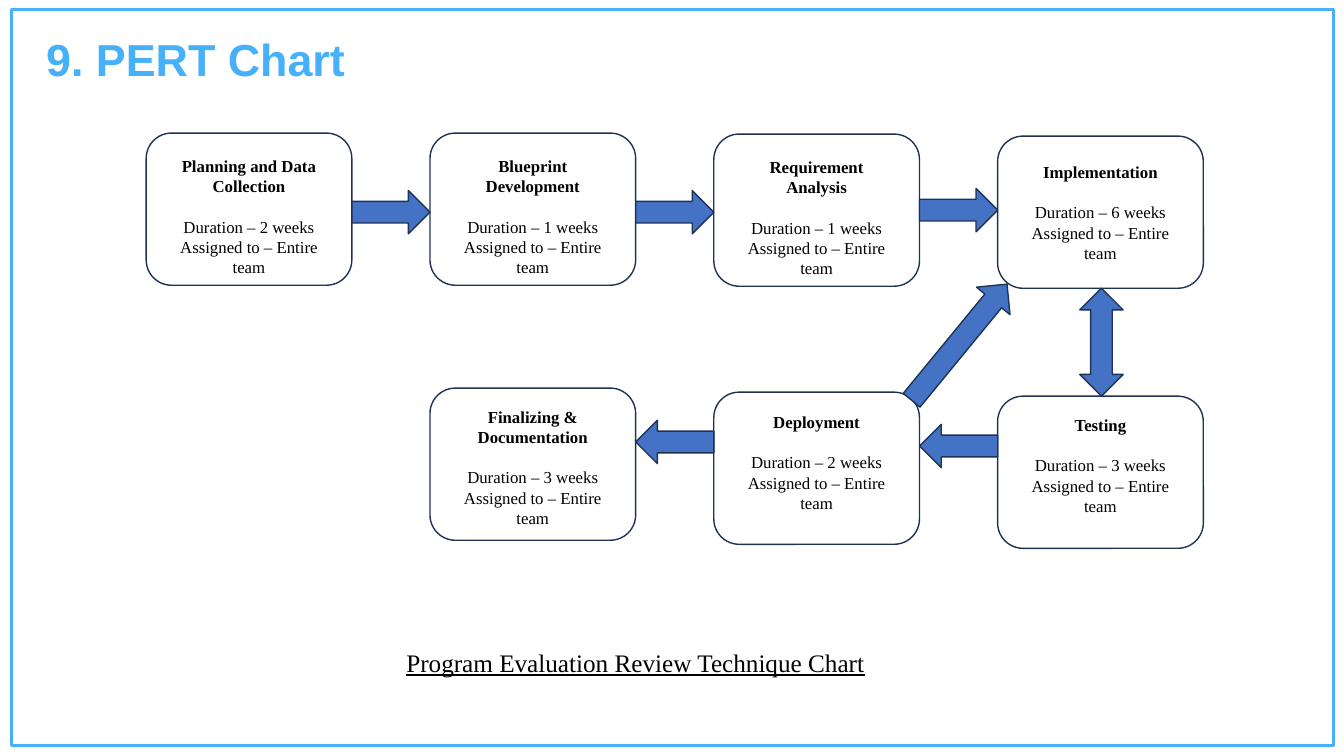
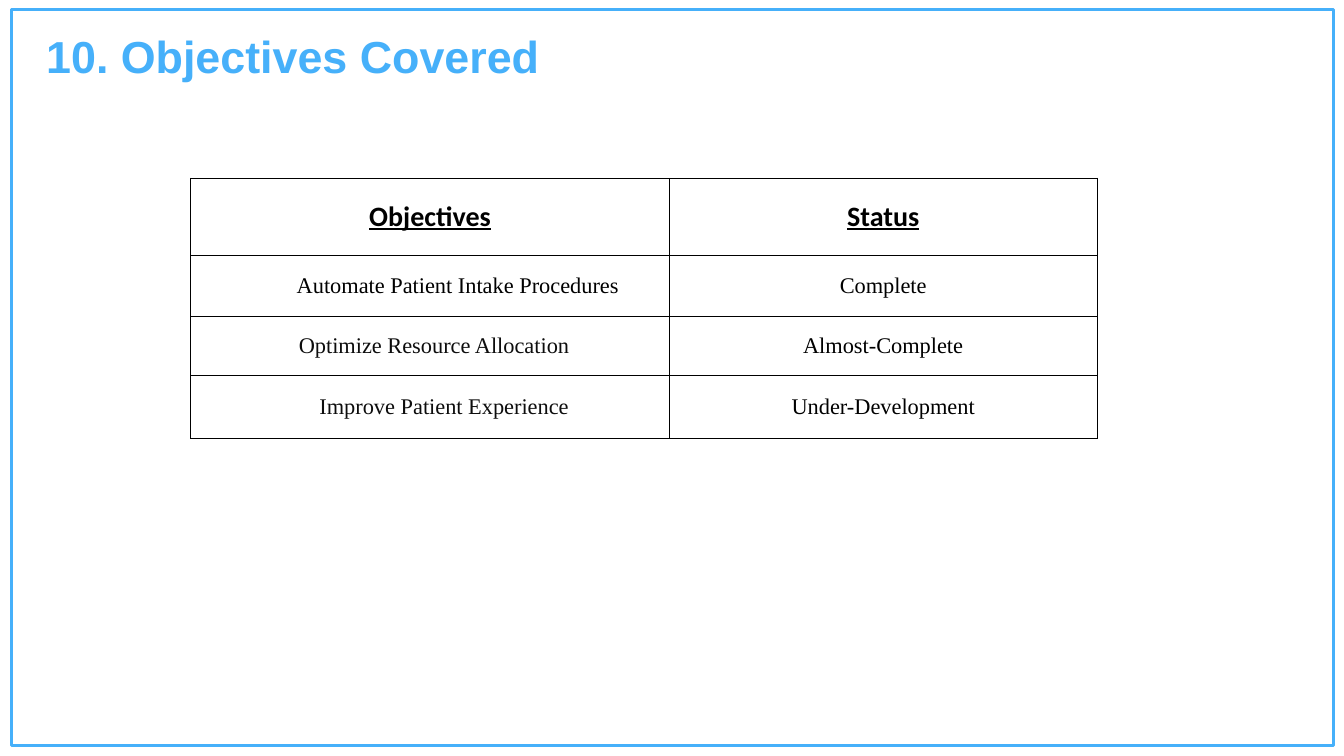
from dataclasses import dataclass

from lxml import etree
from pptx import Presentation
from pptx.dml.color import RGBColor
from pptx.enum.shapes import MSO_SHAPE
from pptx.enum.text import MSO_ANCHOR, PP_ALIGN
from pptx.oxml.ns import qn
from pptx.util import Inches, Pt

RECT = MSO_SHAPE.RECTANGLE
ROUND = MSO_SHAPE.ROUNDED_RECTANGLE
RIGHT = MSO_SHAPE.RIGHT_ARROW
LEFT = MSO_SHAPE.LEFT_ARROW
UPDOWN = MSO_SHAPE.UP_DOWN_ARROW
CENTER = PP_ALIGN.CENTER
TOP, MIDDLE = MSO_ANCHOR.TOP, MSO_ANCHOR.MIDDLE


@dataclass(frozen=True)
class Theme:
    sky: str = "46B0FA"
    navy: str = "1E3256"
    blue: str = "4472C4"
    black: str = "000000"
    soft: str = "0D0D0D"
    sans: str = "Arial"
    serif: str = "Times New Roman"
    head: str = "Calibri"
    title: int = 32
    label: int = 20
    caption: int = 18
    cell: int = 16
    step: int = 12


THEME = Theme()
WIDE, HIGH = 13.33, 7.5

# Step grid of the chart, in inches
BOX_W, BOX_H, GAP = 2.04, 1.51, 0.775
GRID_X, PITCH = 1.45, BOX_W + GAP
ARROW_H = 0.43

# Name, weeks, column, top, space above the text
STEPS = [
    ("Planning and Data Collection", 2, 0, 1.32, 0.15),
    ("Blueprint Development", 1, 1, 1.32, 0.15),
    ("Requirement Analysis", 1, 2, 1.33, 0.15),
    ("Implementation", 6, 3, 1.35, 0.18),
    ("Testing", 3, 3, 3.93, 0.11),
    ("Deployment", 2, 2, 3.89, 0.12),
    ("Finalizing & Documentation", 3, 1, 3.85, 0.11),
]
# Kind, column to the left of the gap, top
ARROWS = [
    (RIGHT, 0, 1.89), (RIGHT, 1, 1.89), (RIGHT, 2, 1.87),
    (LEFT, 2, 4.21), (LEFT, 1, 4.17),
]
# Objective, its left indent, status
GOALS = [
    ("Automate Patient Intake Procedures", 0.55, "Complete", THEME.black),
    ("Optimize Resource Allocation", 0.08, "Almost-Complete", THEME.soft),
    ("Improve Patient Experience", 0.28, "Under-Development", THEME.soft),
]


def rgb(code):
    return RGBColor.from_string(code)


def style(para, font, size, color, bold=False, line=False):
    for run in para.runs:
        face = run.font
        face.name, face.size = font, Pt(size)
        face.bold, face.underline = bold, line
        face.color.rgb = rgb(color)


def shape(slide, kind, box, line, width=1, fill=None):
    item = slide.shapes.add_shape(kind, *map(Inches, box))
    item.shadow.inherit = False
    item.line.color.rgb = rgb(line)
    item.line.width = Pt(width)
    if fill:
        item.fill.solid()
        item.fill.fore_color.rgb = rgb(fill)
    else:
        item.fill.background()
    return item


def text(slide, box, words):
    """Add a wrapping text box and return its paragraph."""
    frame = slide.shapes.add_textbox(*map(Inches, box)).text_frame
    frame.word_wrap = True
    frame.text = words
    return frame.paragraphs[0]


def page(deck, title, top):
    """Add a blank slide with the shared border and title."""
    slide = deck.slides.add_slide(deck.slide_layouts[6])
    shape(slide, RECT, (0.11, 0.09, WIDE - 0.21, HIGH - 0.19), THEME.sky, 2.25)
    para = text(slide, (0.36, top, 8.24, 0.64), title)
    style(para, THEME.sans, THEME.title, THEME.sky, bold=True)
    return slide


def step(slide, name, weeks, col, top, pad):
    box = (GRID_X + col * PITCH, top, BOX_W, BOX_H)
    frame = shape(slide, ROUND, box, THEME.navy).text_frame
    frame.word_wrap = True
    frame.vertical_anchor = TOP
    frame.margin_left = frame.margin_right = Inches(0.2)
    frame.margin_top, frame.margin_bottom = Inches(pad), 0
    frame.text = f"{name}\nDuration – {weeks} weeks\nAssigned to – Entire team"
    for num, para in enumerate(frame.paragraphs):
        para.alignment = CENTER
        style(para, THEME.serif, THEME.step, THEME.black, bold=num == 0)
    frame.paragraphs[0].space_after = Pt(14.5)


def arrow(slide, kind, box, turn=0):
    shape(slide, kind, box, THEME.navy, fill=THEME.blue).rotation = turn


def border(cell):
    props = cell._tc.get_or_add_tcPr()
    for num, side in enumerate(("lnL", "lnR", "lnT", "lnB")):
        line = etree.Element(qn(f"a:{side}"), w=str(Pt(0.75)))
        fill = etree.SubElement(line, qn("a:solidFill"))
        etree.SubElement(fill, qn("a:srgbClr"), val=THEME.black)
        props.insert(num, line)


def fill_cell(cell, words, font, size, color, indent=0, head=False):
    cell.fill.background()
    border(cell)
    cell.vertical_anchor = MIDDLE
    cell.margin_left = cell.margin_right = Inches(0.07)
    cell.margin_top = cell.margin_bottom = Inches(0.07)
    cell.text_frame.text = words
    para = cell.text_frame.paragraphs[0]
    para.alignment = CENTER
    if indent:
        para._p.get_or_add_pPr().set("marL", str(Inches(indent)))
    style(para, font, size, color, bold=head, line=head)


def chart_page(deck):
    slide = page(deck, "9. PERT Chart", 0.27)
    for item in STEPS:
        step(slide, *item)
    for kind, col, top in ARROWS:
        left = GRID_X + col * PITCH + BOX_W
        arrow(slide, kind, (left, top, GAP, ARROW_H))
    arrow(slide, UPDOWN, (10.71, 2.86, ARROW_H, 1.07))
    arrow(slide, RIGHT, (8.77, 3.18, 1.49, ARROW_H), 309.4)
    para = text(slide, (2.97, 6.37, WIDE / 2, 0.4),
                "Program Evaluation Review Technique Chart")
    para.alignment = CENTER
    style(para, THEME.serif, THEME.caption, THEME.black, line=True)


def table_page(deck):
    slide = page(deck, "10. Objectives Covered", 0.24)
    cols, rows = (4.75, 4.24), (0.76, 0.61, 0.59, 0.62)
    box = (1.89, 1.77, sum(cols), sum(rows))
    table = slide.shapes.add_table(
        len(rows), len(cols), *map(Inches, box)).table
    for col, width in zip(table.columns, cols):
        col.width = Inches(width)
    for row, height in zip(table.rows, rows):
        row.height = Inches(height)
    for col, words in enumerate(("Objectives", "Status")):
        fill_cell(table.cell(0, col), words, THEME.head, THEME.label,
                  THEME.black, head=True)
    for row, (goal, indent, status, color) in enumerate(GOALS, 1):
        fill_cell(table.cell(row, 0), goal, THEME.serif, THEME.cell,
                  color, indent)
        fill_cell(table.cell(row, 1), status, THEME.serif, THEME.cell,
                  THEME.black)


def main():
    deck = Presentation()
    deck.slide_width, deck.slide_height = Inches(WIDE), Inches(HIGH)
    chart_page(deck)
    table_page(deck)
    deck.save("out.pptx")


if __name__ == "__main__":
    main()
